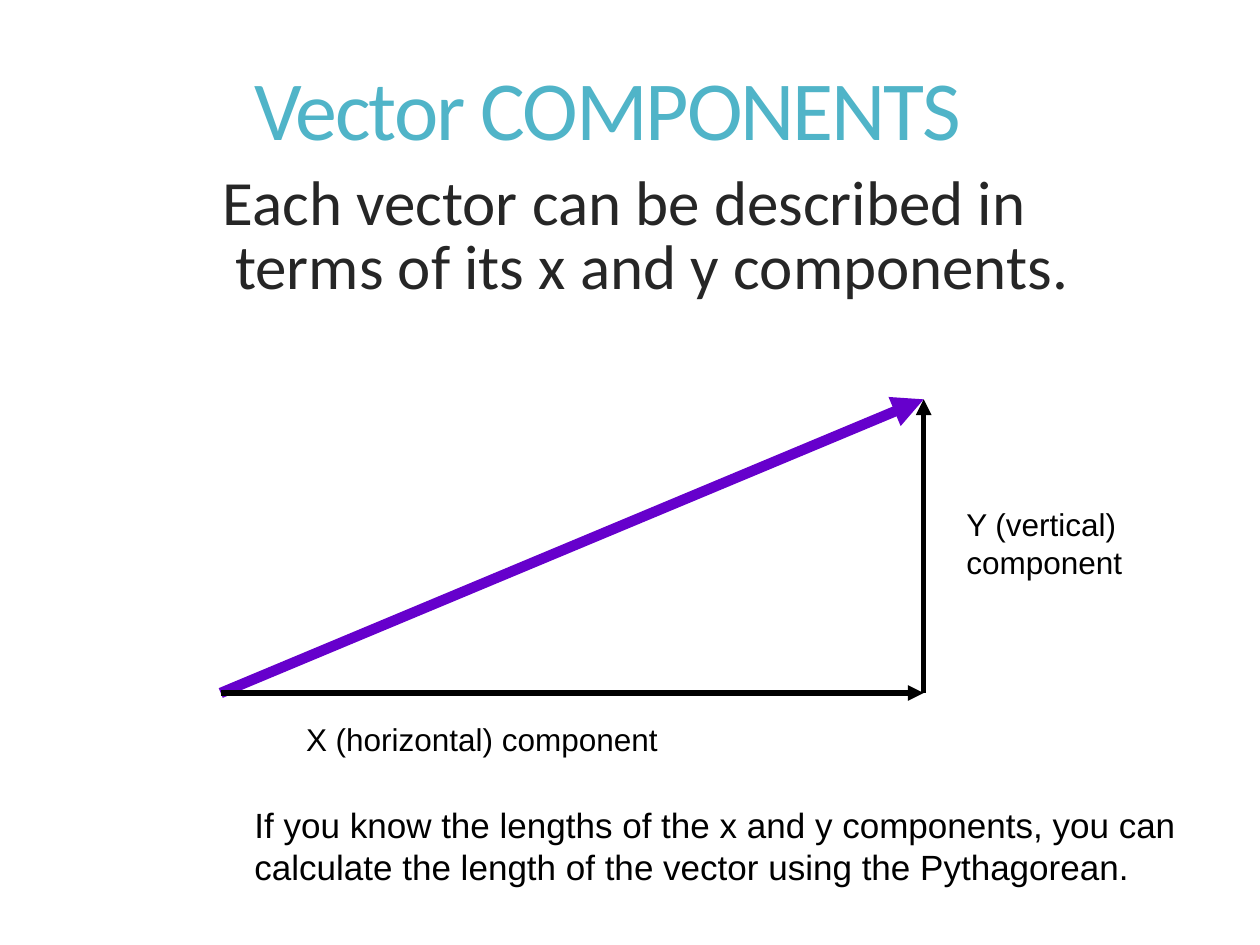
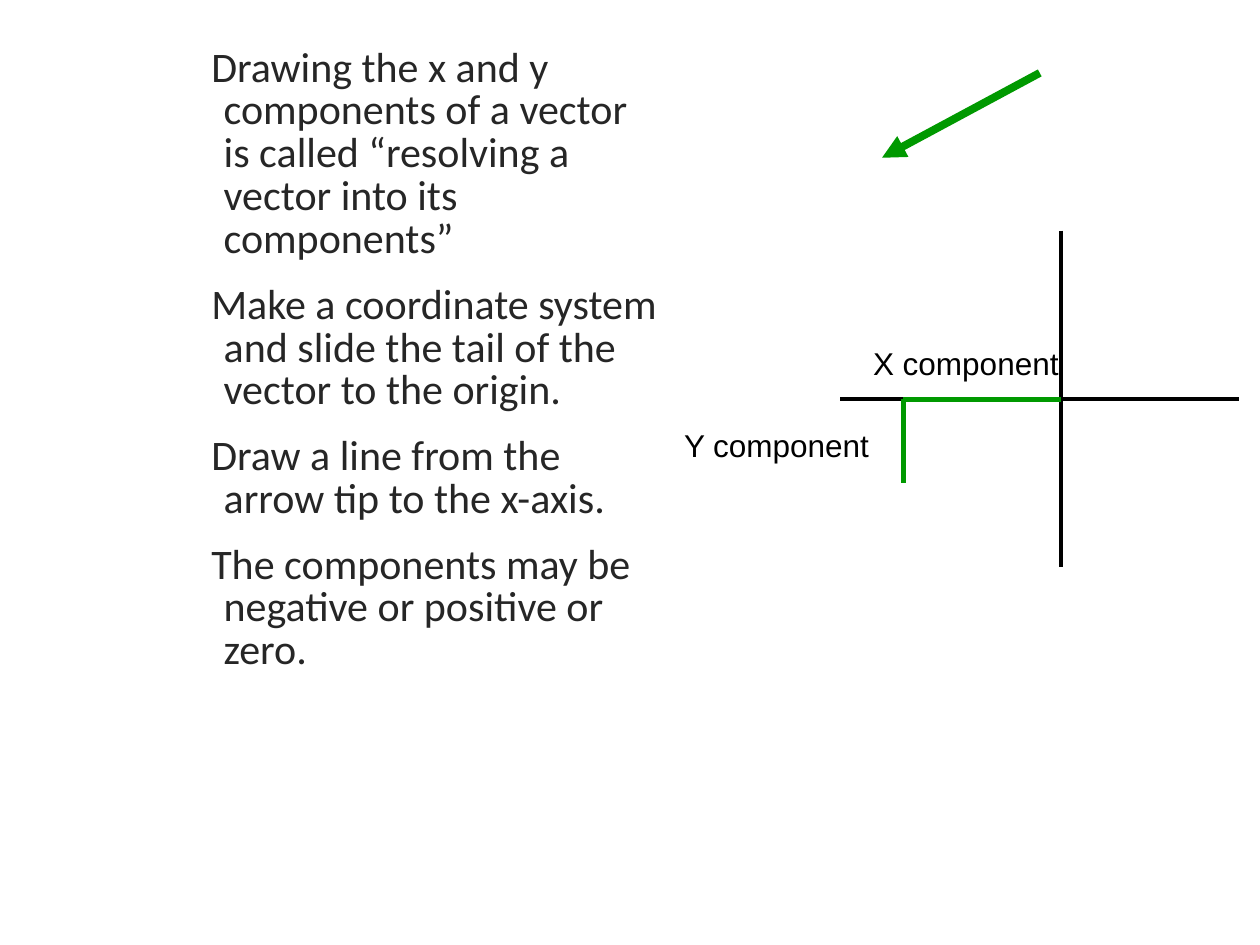
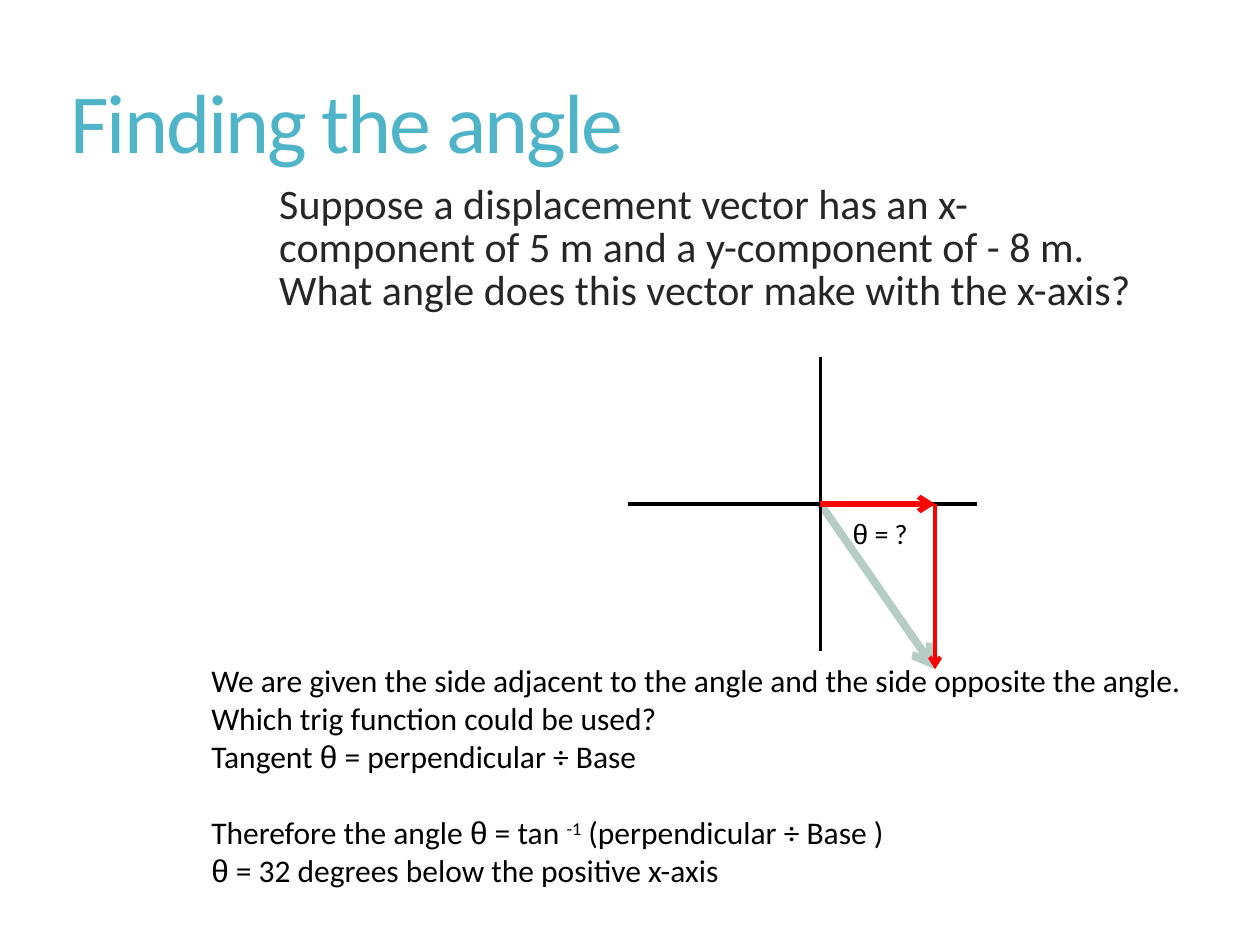
from dataclasses import dataclass
from itertools import groupby
from typing import NamedTuple

from lxml import etree
from pptx import Presentation
from pptx.dml.color import RGBColor
from pptx.enum.shapes import MSO_CONNECTOR
from pptx.enum.text import MSO_ANCHOR
from pptx.oxml.ns import qn
from pptx.util import Cm, Pt

STRAIGHT = MSO_CONNECTOR.STRAIGHT
TOP, MIDDLE = MSO_ANCHOR.TOP, MSO_ANCHOR.MIDDLE


# Shared look
@dataclass(frozen=True)
class Theme:
    sans: str = "Arial"
    main: str = "Calibri"
    teal: str = "50B4C8"
    ink: str = "262626"
    black: str = "000000"
    violet: str = "6600CC"
    green: str = "009900"
    sage: str = "B5CDC4"
    red: str = "FF0000"
    title: int = 48
    lead: int = 36
    body: int = 24
    note: int = 20
    label: int = 18
    small: int = 16
    bold_line: float = 6
    arrow_line: float = 4.5
    leg_line: float = 3
    thin_line: float = 2.25


THEME = Theme()


class Box(NamedTuple):
    left: float
    top: float
    width: float
    height: float


class Spot(NamedTuple):
    x: float
    y: float


class Wire(NamedTuple):
    start: Spot
    end: Spot
    color: str
    weight: float
    head: str = ""


# Text
def add_runs(para, line: str, *, size: float, font: str, color: str) -> None:
    """Marks ^ around a superscript; theta is always set in the sans font."""
    for i, part in enumerate(line.split("^")):
        for theta, chars in groupby(part, lambda c: c == "θ"):
            run = para.add_run()
            run.text = "".join(chars)
            run.font.size = Pt(size)
            run.font.name = THEME.sans if theta else font
            run.font.color.rgb = RGBColor.from_string(color)
            if i % 2:
                run.font._element.set("baseline", "30000")


def add_text(slide, box: Box, *lines: str, size: float = THEME.label,
             font: str = THEME.sans, color: str = THEME.black,
             spacing: float = 1, before: float = 0, hang: float = 0,
             track: int = 0, anchor=TOP, wrap: bool = True,
             gaps: dict[int, float] | None = None) -> None:
    frame = slide.shapes.add_textbox(*map(Cm, box)).text_frame
    frame.word_wrap = wrap
    frame.vertical_anchor = anchor
    for i, line in enumerate(lines):
        para = frame.add_paragraph() if i else frame.paragraphs[0]
        para.line_spacing = spacing
        para.space_before = Pt((gaps or {}).get(i, before))
        add_runs(para, line, size=size, font=font, color=color)
        if hang:
            props = para._p.get_or_add_pPr()
            props.set("marL", str(Cm(hang)))
            props.set("indent", str(-Cm(hang)))
        if track:
            for run in para.runs:
                run.font._element.set("spc", str(track))


def add_title(slide, box: Box, line: str) -> None:
    add_text(slide, box, line, size=THEME.title, font=THEME.main,
             color=THEME.teal, spacing=0.9, track=-120, anchor=MIDDLE)


def add_body(slide, box: Box, *lines: str, size: float = THEME.body,
             hang: float = 0.25) -> None:
    add_text(slide, box, *lines, size=size, font=THEME.main, color=THEME.ink,
             spacing=0.85, before=13, hang=hang)


# Lines
def add_wire(shapes, wire: Wire) -> None:
    link = shapes.add_connector(STRAIGHT, *map(Cm, wire.start + wire.end))
    link.line.color.rgb = RGBColor.from_string(wire.color)
    link.line.width = Pt(wire.weight)
    props = link._element.spPr
    if wire.head:
        etree.SubElement(props.find(qn("a:ln")), qn("a:tailEnd"), type=wire.head)
    etree.SubElement(props, qn("a:effectLst"))


def add_axes(slide, mid: Spot, left: float, right: float,
             top: float, low: float) -> None:
    group = slide.shapes.add_group_shape()
    for start, end in ((Spot(mid.x, top), Spot(mid.x, low)),
                       (Spot(left, mid.y), Spot(right, mid.y))):
        add_wire(group.shapes, Wire(start, end, THEME.black, THEME.thin_line))


# Slides
def draw_parts(slide) -> None:
    add_title(slide, Box(4.88, 0.51, 18.31, 3.56), "Vector COMPONENTS")
    add_body(slide, Box(4.24, 3.38, 19.89, 12.57),
             "Each vector can be described in terms of its x and y components.",
             size=THEME.lead)
    tail, tip = Spot(4.45, 13.97), Spot(18.62, 8.05)
    foot = Spot(tip.x, tail.y)
    for wire in (
        Wire(tail, tip, THEME.violet, THEME.bold_line, "triangle"),
        Wire(tail, foot, THEME.black, THEME.leg_line, "triangle"),
        Wire(foot, tip, THEME.black, THEME.leg_line, "triangle"),
    ):
        add_wire(slide.shapes, wire)
    add_text(slide, Box(5.92, 14.4, 9.96, 1.02), "X (horizontal) component")
    add_text(slide, Box(19.23, 10.06, 3.66, 1.78),
             "Y (vertical)", "component", wrap=False)
    add_text(slide, Box(4.88, 16.08, 19.89, 1.96),
             "If you know the lengths of the x and y components, you can "
             "calculate the length of the vector using the Pythagorean.",
             size=THEME.note)


def draw_steps(slide) -> None:
    add_body(slide, Box(4.01, 0.84, 9.53, 18.21),
             "Drawing the x and y components of a vector is called "
             "“resolving a vector into its components”",
             "Make a coordinate system and slide the tail of the vector "
             "to the origin.",
             "Draw a line from the arrow tip to the x-axis.",
             "The components may be negative or positive or zero.")
    add_text(slide, Box(17.35, 6.81, 4.65, 1.02), "X component")
    add_text(slide, Box(13.54, 8.46, 4.45, 1.02), "Y component")
    add_wire(slide.shapes, Wire(Spot(20.96, 1.47), Spot(17.78, 3.18),
                                THEME.green, THEME.arrow_line, "triangle"))
    mid = Spot(21.39, 8.05)
    add_axes(slide, mid, left=16.94, right=24.97, top=4.65, low=11.43)
    foot = Spot(18.21, mid.y)
    for start in (Spot(foot.x, 9.73), mid):
        add_wire(slide.shapes, Wire(start, foot, THEME.green, THEME.leg_line))


def draw_angle(slide) -> None:
    add_title(slide, Box(1.17, 0.25, 22.45, 4.6), "Finding the angle")
    add_body(slide, Box(5.38, 3.61, 18.31, 12.83),
             "Suppose a displacement vector has an x-component of 5 m and "
             "a y-component of - 8 m. What angle does this vector make "
             "with the x-axis?", hang=0)
    mid, tip = Spot(16.54, 10.16), Spot(18.85, 13.49)
    foot = Spot(tip.x, mid.y)
    add_wire(slide.shapes,
             Wire(mid, tip, THEME.sage, THEME.arrow_line, "arrow"))
    add_axes(slide, mid, left=12.65, right=19.69, top=7.19, low=13.13)
    add_wire(slide.shapes,
             Wire(mid, foot, THEME.red, THEME.leg_line, "arrow"))
    add_wire(slide.shapes,
             Wire(foot, tip, THEME.red, THEME.thin_line, "arrow"))
    add_text(slide, Box(16.94, 10.29, 2.34, 0.94), "θ = ?",
             size=THEME.small, font=THEME.main)
    add_text(slide, Box(4.01, 13.21, 21.39, 5.64),
             "We are given the side adjacent to the angle and the side "
             "opposite the angle.",
             "Which trig function could be used?",
             "Tangent θ = perpendicular ÷ Base",
             "Therefore the angle θ = tan ^-1^ (perpendicular ÷ Base )",
             "θ = 32 degrees below the positive x-axis",
             font=THEME.main, gaps={3: 22})


def main() -> None:
    deck = Presentation()
    deck.slide_width, deck.slide_height = Cm(25.4), Cm(19.05)
    blank = deck.slide_layouts[6]
    for draw in (draw_parts, draw_steps, draw_angle):
        draw(deck.slides.add_slide(blank))
    deck.save("out.pptx")


if __name__ == "__main__":
    main()
